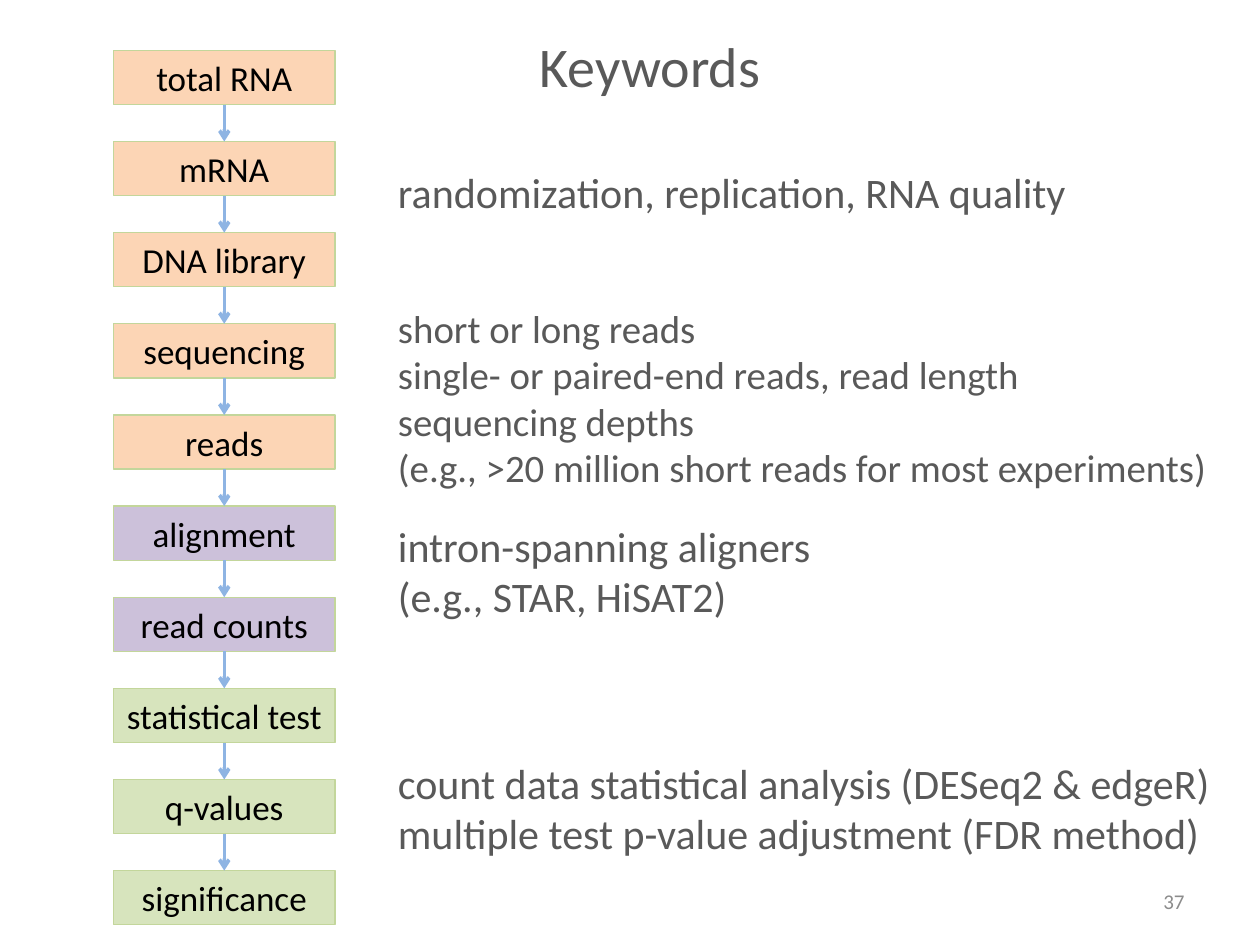
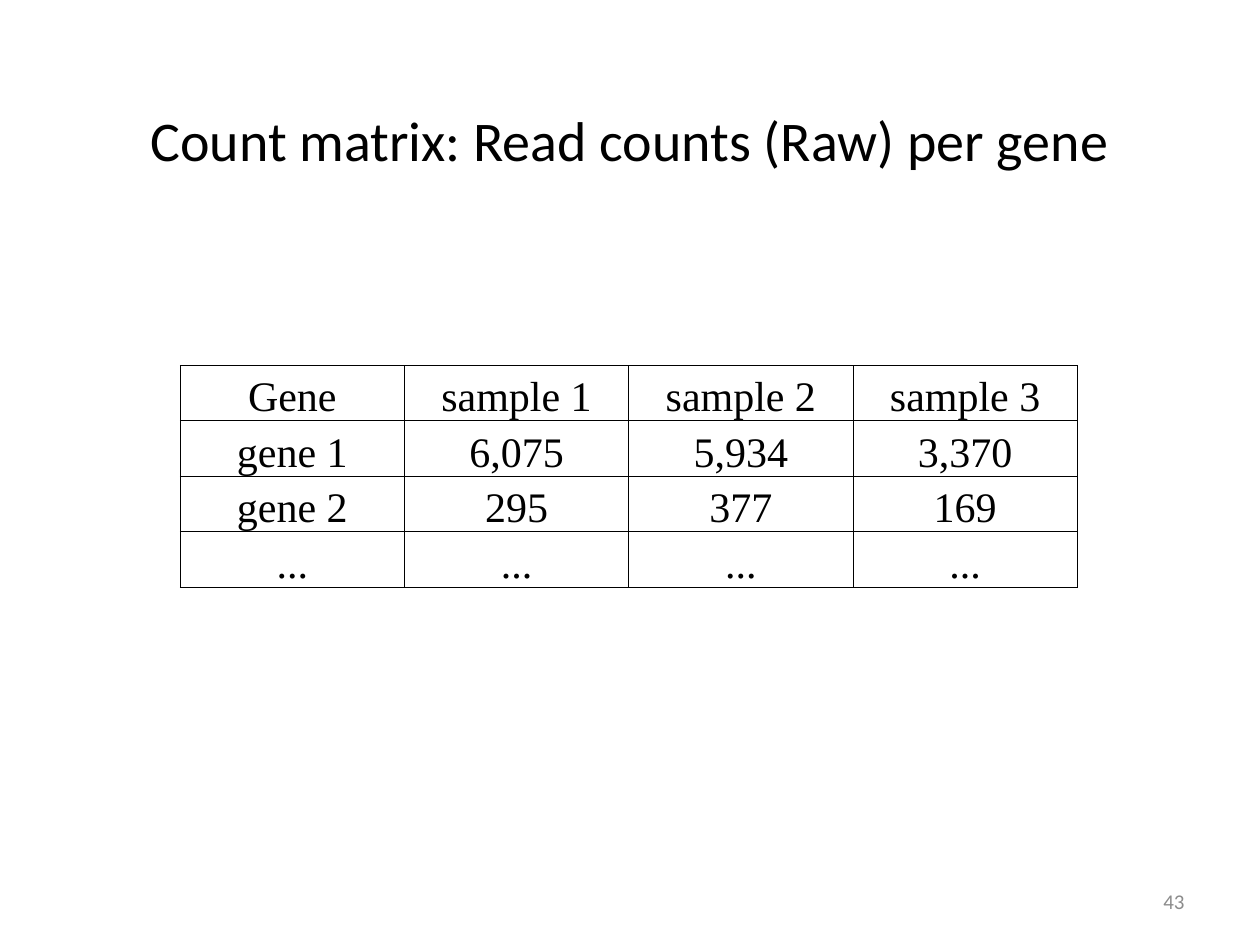
from dataclasses import dataclass

from lxml.etree import SubElement
from pptx import Presentation
from pptx.dml.color import RGBColor
from pptx.enum.shapes import MSO_CONNECTOR, MSO_SHAPE
from pptx.enum.text import MSO_ANCHOR, PP_ALIGN
from pptx.oxml.ns import qn
from pptx.util import Inches, Pt


@dataclass(frozen=True)
class Theme:
    font: str = "Calibri"
    table_font: str = "Times New Roman"
    black: str = "000000"
    gray: str = "595959"
    number_gray: str = "8C8C8C"
    box_line: str = "C3D69B"
    arrow: str = "8EB4E3"
    title_size: float = 32
    body_size: float = 24
    reads_size: float = 22.2
    step_size: float = 20
    number_size: float = 12


THEME = Theme()

STAGES = [
    ("FCD5B5", ["total RNA", "mRNA", "DNA library", "sequencing", "reads"]),
    ("CCC1DA", ["alignment", "read counts"]),
    ("D7E4BD", ["statistical test", "q-values", "significance"]),
]

KEYWORDS = [
    ((3.06, 1.21, 5.86, 0.63), THEME.body_size,
     ["randomization, replication, RNA quality"]),
    ((3.06, 2.29, 6.81, 1.73), THEME.reads_size,
     ["short or long reads",
      "single- or paired-end reads, read length",
      "sequencing depths",
      "(e.g., >20 million short reads for most experiments)"]),
    ((3.06, 4.02, 6.04, 1.02), THEME.body_size,
     ["intron-spanning aligners", "(e.g., STAR, HiSAT2)"]),
    ((3.06, 5.9, 6.81, 1.02), THEME.body_size,
     ["count data statistical analysis (DESeq2 & edgeR)",
      "multiple test p-value adjustment (FDR method)"]),
]

COUNTS = [
    ["Gene", "sample 1", "sample 2", "sample 3"],
    ["gene 1", "6,075", "5,934", "3,370"],
    ["gene 2", "295", "377", "169"],
    ["...", "...", "...", "..."],
]

STEP_LEFT, STEP_WIDTH, STEP_HEIGHT = 0.9, 1.76, 0.43
FIRST_STEP_TOP, LAST_STEP_TOP = 0.4, 6.91
TABLE_LEFT, TABLE_TOP = 1.43, 2.9
COLUMN_WIDTH, ROW_HEIGHT, COLUMNS_PER_TABLE = 1.78, 0.44, 2


def color(code):
    return RGBColor.from_string(code)


def write(frame, lines, size, code, align=PP_ALIGN.LEFT, font=THEME.font):
    for index, line in enumerate(lines):
        para = frame.add_paragraph() if index else frame.paragraphs[0]
        para.alignment = align
        span = para.add_run()
        span.text = line
        span.font.name = font
        span.font.size = Pt(size)
        span.font.color.rgb = color(code)


def add_text(page, area, lines, size, code, align=PP_ALIGN.LEFT):
    box = page.shapes.add_textbox(*map(Inches, area))
    box.text_frame.word_wrap = True
    box.text_frame.vertical_anchor = MSO_ANCHOR.MIDDLE
    write(box.text_frame, lines, size, code, align)


def add_page(deck, title, area, code, number):
    page = deck.slides.add_slide(deck.slide_layouts[6])
    add_text(page, area, [title], THEME.title_size, code, PP_ALIGN.CENTER)
    add_text(page, (7.17, 6.95, 2.33, 0.4), [number],
             THEME.number_size, THEME.number_gray, PP_ALIGN.RIGHT)
    return page


def add_step(page, label, fill, top):
    box = page.shapes.add_shape(
        MSO_SHAPE.RECTANGLE, Inches(STEP_LEFT), Inches(top),
        Inches(STEP_WIDTH), Inches(STEP_HEIGHT))
    box.shadow.inherit = False
    box.fill.solid()
    box.fill.fore_color.rgb = color(fill)
    box.line.color.rgb = color(THEME.box_line)
    box.line.width = Pt(0.75)
    frame = box.text_frame
    frame.margin_left = frame.margin_right = 0
    frame.margin_top = frame.margin_bottom = 0
    frame.vertical_anchor = MSO_ANCHOR.MIDDLE
    write(frame, [label], THEME.step_size, THEME.black, PP_ALIGN.CENTER)
    return box


def add_arrow(page, upper, lower):
    arrow = page.shapes.add_connector(MSO_CONNECTOR.STRAIGHT, 0, 0, 0, 0)
    arrow.begin_connect(upper, 2)
    arrow.end_connect(lower, 0)
    arrow.line.color.rgb = color(THEME.arrow)
    arrow.line.width = Pt(2)
    SubElement(arrow.line._get_or_add_ln(), qn("a:tailEnd"), type="arrow")
    SubElement(arrow._element.spPr, qn("a:effectLst"))


def add_borders(cell):
    properties = cell._tc.get_or_add_tcPr()
    for side in ("lnL", "lnR", "lnT", "lnB"):
        border = SubElement(properties, qn(f"a:{side}"), w=str(Pt(0.5)))
        fill = SubElement(border, qn("a:solidFill"))
        SubElement(fill, qn("a:srgbClr"), val=THEME.black)


def add_count_table(page, rows, left):
    table = page.shapes.add_table(
        len(rows), len(rows[0]), Inches(left), Inches(TABLE_TOP),
        Inches(COLUMN_WIDTH * len(rows[0])),
        Inches(ROW_HEIGHT * len(rows))).table
    table.first_row = table.horz_banding = False
    for row_index, row in enumerate(rows):
        for column_index, value in enumerate(row):
            cell = table.cell(row_index, column_index)
            add_borders(cell)
            cell.fill.background()
            cell.vertical_anchor = MSO_ANCHOR.BOTTOM
            cell.margin_left = cell.margin_right = cell.margin_top = Inches(0.01)
            cell.margin_bottom = 0
            write(cell.text_frame, [value], THEME.body_size, THEME.black,
                  PP_ALIGN.CENTER, THEME.table_font)


def build_keywords(deck):
    page = add_page(deck, "Keywords", (3.53, 0.2, 3.26, 0.63), THEME.gray, "37")
    steps = [(label, fill) for fill, labels in STAGES for label in labels]
    pitch = (LAST_STEP_TOP - FIRST_STEP_TOP) / (len(steps) - 1)
    boxes = [add_step(page, label, fill, FIRST_STEP_TOP + index * pitch)
             for index, (label, fill) in enumerate(steps)]
    for upper, lower in zip(boxes, boxes[1:]):
        add_arrow(page, upper, lower)
    for area, size, lines in KEYWORDS:
        add_text(page, area, lines, size, THEME.gray)


def build_count_matrix(deck):
    page = add_page(deck, "Count matrix: Read counts (Raw) per gene",
                    (0.5, 0.48, 9, 1.25), THEME.black, "43")
    for start in range(0, len(COUNTS[0]), COLUMNS_PER_TABLE):
        rows = [row[start:start + COLUMNS_PER_TABLE] for row in COUNTS]
        add_count_table(page, rows, TABLE_LEFT + start * COLUMN_WIDTH)


def main():
    deck = Presentation()
    deck.slide_width, deck.slide_height = Inches(10), Inches(7.5)
    build_keywords(deck)
    build_count_matrix(deck)
    deck.save("out.pptx")


if __name__ == "__main__":
    main()
